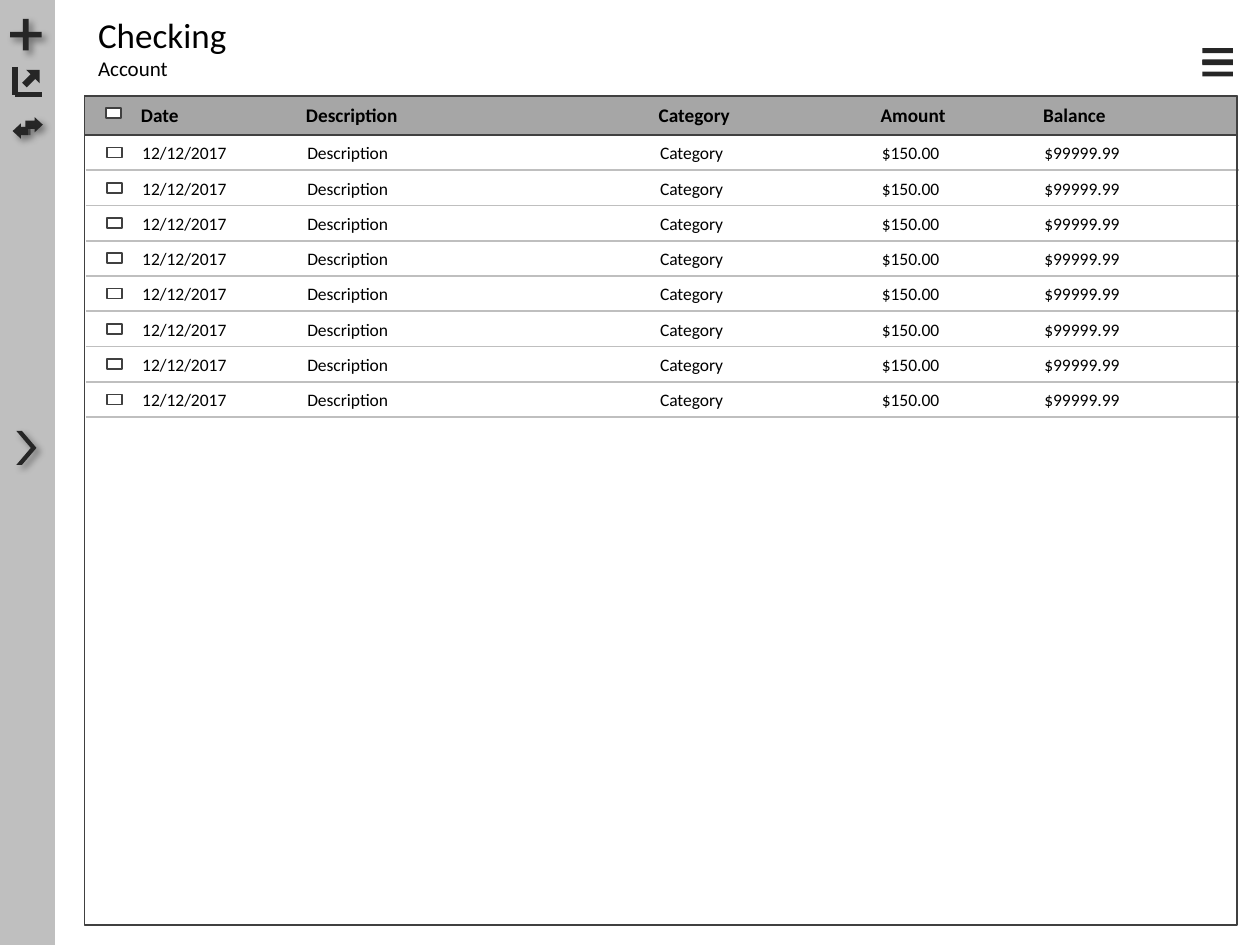
from dataclasses import dataclass
from lxml.etree import SubElement
from pptx import Presentation
from pptx.dml.color import RGBColor
from pptx.enum.shapes import MSO_CONNECTOR, MSO_SHAPE
from pptx.oxml.ns import qn
from pptx.util import Inches, Pt

DARK, EDGE, GRAY, HEAD = "262626", "404040", "BFBFBF", "A6A6A6"
WHITE, BLACK = "FFFFFF", "000000"


@dataclass
class Column:
    left: float
    width: float
    title: str
    value: str


@dataclass
class Icon:
    kind: MSO_SHAPE
    box: tuple[float, float, float, float]
    adj: tuple[float, ...]
    turn: int = 0
    shade: bool = False


COLUMNS = [
    Column(1.02, 1.29, "Date", "12/12/2017"),
    Column(2.33, 2.68, "Description", "Description"),
    Column(5.13, 1.64, "Category", "Category"),
    Column(6.89, 1.17, "Amount", "$150.00"),
    Column(8.18, 1.17, "Balance", "$99999.99"),
]
ICONS = [
    Icon(MSO_SHAPE.CROSS, (0.08, 0.15, 0.25, 0.25), (0.41,), shade=True),
    Icon(MSO_SHAPE.CHEVRON, (0.13, 3.42, 0.16, 0.27), (0.72,), shade=True),
    Icon(MSO_SHAPE.MATH_EQUAL, (9.5, 0.3, 0.33, 0.3), (0.13, 0.19)),
    Icon(MSO_SHAPE.MATH_EQUAL, (9.5, 0.39, 0.33, 0.3), (0.13, 0.19)),
    Icon(MSO_SHAPE.RIGHT_ARROW, (0.17, 0.54, 0.17, 0.15), (0.34, 0.5), 315),
    Icon(MSO_SHAPE.STRIPED_RIGHT_ARROW, (0.2, 0.93, 0.14, 0.12),
         (0.54, 0.54), shade=True),
    Icon(MSO_SHAPE.STRIPED_RIGHT_ARROW, (0.1, 0.98, 0.14, 0.12),
         (0.54, 0.54), 180, True),
]
ROWS, TOP, PITCH = 8, 1.08, 0.28

deck = Presentation()
deck.slide_width, deck.slide_height = Inches(10), Inches(7.5)
slide = deck.slides.add_slide(deck.slide_layouts[6])


def color(code: str) -> RGBColor:
    return RGBColor.from_string(code)


def shape(kind: MSO_SHAPE, box: tuple, fill: str = "", edge: str = "",
          weight: float = 1):
    item = slide.shapes.add_shape(kind, *map(Inches, box))
    item.shadow.inherit = False
    if fill:
        item.fill.solid()
        item.fill.fore_color.rgb = color(fill)
    else:
        item.fill.background()
    if edge:
        item.line.color.rgb = color(edge)
        item.line.width = Pt(weight)
    else:
        item.line.fill.background()
    return item


def icon(mark: Icon) -> None:
    item = shape(mark.kind, mark.box, DARK)
    item.rotation = mark.turn
    for i, value in enumerate(mark.adj):
        item.adjustments[i] = value
    if mark.shade:
        effects = item._element.spPr.find(qn("a:effectLst"))
        cast = SubElement(effects, qn("a:outerShdw"), blurRad=str(Pt(4)),
                          dist=str(Pt(3)), dir="2700000", algn="tl",
                          rotWithShape="0")
        tint = SubElement(cast, qn("a:srgbClr"), val=BLACK)
        SubElement(tint, qn("a:alpha"), val="40000")


def line(x1: float, y1: float, x2: float, y2: float, code: str,
         weight: float) -> None:
    item = slide.shapes.add_connector(
        MSO_CONNECTOR.STRAIGHT, *map(Inches, (x1, y1, x2, y2)))
    item.line.color.rgb = color(code)
    item.line.width = Pt(weight)
    SubElement(item._element.spPr, qn("a:effectLst"))


def text(box: tuple, lines: list[tuple[str, float]],
         bold: bool = False) -> None:
    frame = slide.shapes.add_textbox(*map(Inches, box)).text_frame
    frame.word_wrap = True
    for i, (words, size) in enumerate(lines):
        para = frame.add_paragraph() if i else frame.paragraphs[0]
        run = para.add_run()
        run.text = words
        run.font.name = "Calibri"
        run.font.size = Pt(size)
        run.font.bold = bold
        run.font.color.rgb = color(BLACK)


def check(left: float, top: float) -> None:
    shape(MSO_SHAPE.RECTANGLE, (left, top, 0.12, 0.08), WHITE, EDGE)


shape(MSO_SHAPE.RECTANGLE, (0, 0, 0.42, 7.5), GRAY, GRAY, 2)
text((0.68, 0.06, 2.75, 0.64), [("Checking", 20), ("Account", 12)])

shape(MSO_SHAPE.RECTANGLE, (0.67, 0.76, 9.15, 0.31), HEAD, EDGE)
check(0.84, 0.86)
for col in COLUMNS:
    text((col.left, 0.77, col.width, 0.29), [(col.title, 11)], True)

for row in range(ROWS):
    top = TOP + row * PITCH
    for col in COLUMNS:
        text((col.left + 0.01, top, col.width, 0.27), [(col.value, 10)])
    check(0.85, top + 0.09)
    line(0.68, top + 0.27, 9.83, top + 0.27, GRAY, 1)
shape(MSO_SHAPE.RECTANGLE, (0.67, 0.76, 9.15, 6.58), edge=EDGE)

line(0.12, 0.53, 0.12, 0.75, DARK, 3)
line(0.12, 0.75, 0.33, 0.75, DARK, 3)
for mark in ICONS:
    icon(mark)

deck.save("out.pptx")
